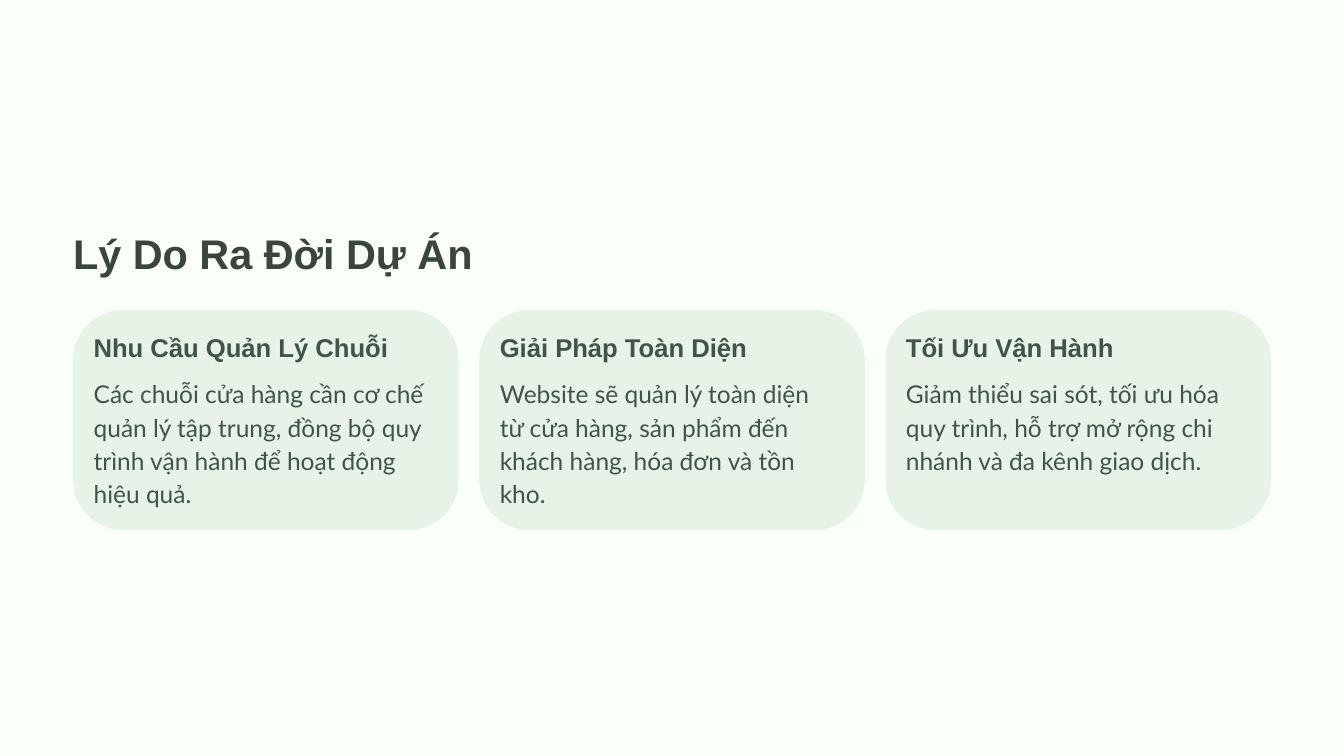
from pptx import Presentation
from pptx.dml.color import RGBColor
from pptx.enum import shapes, text
from pptx.util import Inches, Pt

COLORS = {"background": "FAFFFA", "card": "E8F3E8", "title": "3B4540", "text": "405449"}

# Card grid, in inches
MARGIN, CARD_TOP = 0.87, 3.69
CARD_WIDTH, CARD_HEIGHT, GAP = 4.59, 2.62, 0.245
PADDING = 0.245

# Heading, body, width of the body text
CARDS = [
    ("Nhu Cầu Quản Lý Chuỗi",
     "Các chuỗi cửa hàng cần cơ chế quản lý tập trung, đồng bộ quy trình vận hành để hoạt động hiệu quả.",
     4.09),
    ("Giải Pháp Toàn Diện",
     "Website sẽ quản lý toàn diện từ cửa hàng, sản phẩm đến khách hàng, hóa đơn và tồn kho.",
     3.94),
    ("Tối Ưu Vận Hành",
     "Giảm thiểu sai sót, tối ưu hóa quy trình, hỗ trợ mở rộng chi nhánh và đa kênh giao dịch.",
     3.77),
]


def color(name):
    return RGBColor.from_string(COLORS[name])


def write(shape, wording, size, line_height, color_name, font="Arial", bold=True, wrap=False):
    frame = shape.text_frame
    frame.text = wording
    frame.word_wrap = wrap
    frame.auto_size = text.MSO_AUTO_SIZE.NONE
    frame.vertical_anchor = text.MSO_ANCHOR.TOP
    frame.margin_left = frame.margin_right = frame.margin_top = frame.margin_bottom = 0
    paragraph = frame.paragraphs[0]
    paragraph.alignment = text.PP_ALIGN.LEFT
    paragraph.line_spacing = Pt(line_height)
    paragraph.font.name = font
    paragraph.font.size = Pt(size)
    paragraph.font.bold = bold
    paragraph.font.color.rgb = color(color_name)


def add_title(slide, left, top, width, height):
    title = slide.shapes.title
    title.left, title.top = Inches(left), Inches(top)
    title.width, title.height = Inches(width), Inches(height)
    write(title, "Lý Do Ra Đời Dự Án", 35.5, 44.5, "title")


def add_card(slide, left, top, width, height, heading, body, body_width):
    # Rounded panel
    panel = slide.shapes.add_shape(shapes.MSO_SHAPE.ROUNDED_RECTANGLE,
                                   Inches(left), Inches(top), Inches(width), Inches(height))
    panel.adjustments[0] = 0.227
    panel.shadow.inherit = False
    panel.fill.solid()
    panel.fill.fore_color.rgb = color("card")
    panel.line.fill.background()

    # Heading and body
    text_left = Inches(left + PADDING)
    heading_box = slide.shapes.add_textbox(text_left, Inches(top + PADDING),
                                           Inches(width - 2 * PADDING), Inches(0.39))
    write(heading_box, heading, 22, 27.5, "text")
    body_box = slide.shapes.add_textbox(text_left, Inches(top + 0.78),
                                        Inches(body_width), Inches(1.59))
    write(body_box, body, 21, 28.5, "text", font="Lato", bold=False, wrap=True)


def main():
    presentation = Presentation()
    presentation.slide_width, presentation.slide_height = Inches(16), Inches(9)
    slide = presentation.slides.add_slide(presentation.slide_layouts.get_by_name("Title Only"))
    slide.background.fill.solid()
    slide.background.fill.fore_color.rgb = color("background")

    add_title(slide, MARGIN, 2.69, 4.96, 0.62)
    for column, card in enumerate(CARDS):
        left = MARGIN + column * (CARD_WIDTH + GAP)
        add_card(slide, left, CARD_TOP, CARD_WIDTH, CARD_HEIGHT, *card)

    presentation.save("out.pptx")


if __name__ == "__main__":
    main()
